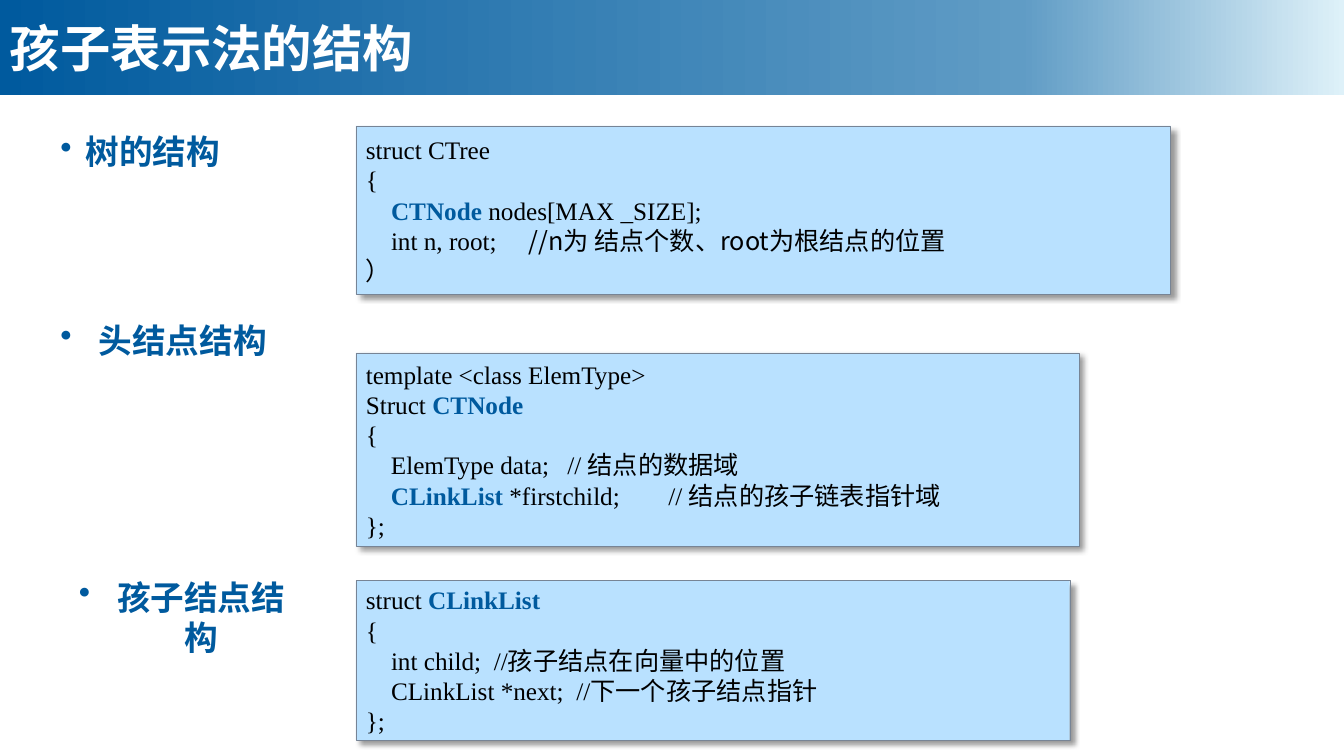
from dataclasses import dataclass

from lxml import etree
from pptx import Presentation, util as u
from pptx.dml.color import RGBColor
from pptx.enum import shapes, text
from pptx.oxml import ns


@dataclass(frozen=True)
class Theme:
    """Colours, fonts and type sizes of the slide."""
    blue: str = "005A9E"
    ink: str = "000000"
    white: str = "FFFFFF"
    panel: str = "B9E1FF"
    edge: str = "778495"
    banner: tuple = ((0, "005A9E"), (76, "609CC5"), (100, "DEF1F9"))
    sans: str = "Noto Sans CJK SC"
    serif: str = "Times New Roman"
    title: int = 36
    heading: int = 24
    code: int = 18


def child(parent, tag, **attrs):
    """Append a DrawingML element and return it."""
    return etree.SubElement(parent, ns.qn(f"a:{tag}"), {k: str(v) for k, v in attrs.items()})


def add_run(p, content, *, size, color, font, east, bold=False):
    """Add a formatted run to a paragraph."""
    r = p.add_run()
    r.text = content
    r.font.size = u.Pt(size)
    r.font.bold = bold
    r.font.color.rgb = RGBColor.from_string(color)
    r.font.name = font
    child(r.font._element, "ea", typeface=east)


class SlideBuilder:
    """Draws themed elements on one slide."""

    def __init__(self, slide, theme):
        """Keep the slide and its theme."""
        self.s, self.theme = slide, theme

    def rect(self, left, top, width, height):
        """Add a shadowless rectangle with left-aligned, centred-height text."""
        sp = self.s.shapes.add_shape(
            shapes.MSO_SHAPE.RECTANGLE, *map(u.Inches, (left, top, width, height)))
        sp.shadow.inherit = False
        tf = sp.text_frame
        tf.word_wrap = True
        tf.vertical_anchor = text.MSO_ANCHOR.MIDDLE
        tf.paragraphs[0].alignment = text.PP_ALIGN.LEFT
        return sp

    def banner(self, content, width, height):
        """Add the gradient title band."""
        t = self.theme
        sp = self.rect(0, 0, width, height)
        sp.line.fill.background()
        sp.fill.gradient()
        sp.fill.gradient_angle = 0
        stops = sp._element.spPr.find(".//" + ns.qn("a:gsLst"))
        for stop in list(stops):
            stops.remove(stop)
        for position, color in t.banner:
            child(child(stops, "gs", pos=position * 1000), "srgbClr", val=color)
        add_run(sp.text_frame.paragraphs[0], content, size=t.title, color=t.white,
                font=t.sans, east=t.sans, bold=True)

    def heading(self, content, left, top, indent, align=text.PP_ALIGN.LEFT):
        """Add a bulleted heading with a hanging indent."""
        t = self.theme
        sp = self.s.shapes.add_textbox(*map(u.Inches, (left, top, 2.57, 0.5)))
        tf = sp.text_frame
        tf.word_wrap = True
        p = tf.paragraphs[0]
        p.alignment = align
        pPr = p._p.get_or_add_pPr()
        pPr.set("marL", str(u.Inches(indent)))
        pPr.set("indent", str(-u.Inches(indent)))
        child(pPr, "buChar", char="•")
        add_run(p, content, size=t.heading, color=t.blue, font=t.sans, east=t.sans, bold=True)

    def code(self, lines, top, width, height):
        """Add a shadowed code panel; each line is a list of (text, kind) runs."""
        t = self.theme
        kinds = {
            "plain": dict(color=t.ink, font=t.serif),
            "type": dict(color=t.blue, font=t.serif, bold=True),
            "note": dict(color=t.ink, font=t.sans),
        }
        sp = self.rect(3.53, top, width, height)
        sp.fill.solid()
        sp.fill.fore_color.rgb = RGBColor.from_string(t.panel)
        sp.line.color.rgb = RGBColor.from_string(t.edge)
        sp.line.width = u.Pt(0.25)
        effects = sp._element.spPr.find(ns.qn("a:effectLst"))
        shadow = child(effects, "outerShdw", blurRad=u.Pt(4), dist=u.Pt(4),
                       dir=45 * 60000, algn="tl", rotWithShape=0)
        child(child(shadow, "srgbClr", val=t.ink), "alpha", val=40000)
        tf = sp.text_frame
        for i, line in enumerate(lines):
            p = tf.add_paragraph() if i else tf.paragraphs[0]
            p.alignment = text.PP_ALIGN.LEFT
            for content, kind in line:
                add_run(p, content, size=t.code, east=t.sans, **kinds[kind])


TREE = [
    [("struct CTree", "plain")],
    [("{", "plain")],
    [("    ", "plain"), ("CTNode ", "type"), ("nodes[MAX _SIZE];", "plain")],
    [("    int n, root; 　", "plain"), ("//n为 结点个数、root为根结点的位置", "note")],
    [("）", "plain")],
]
HEAD_NODE = [
    [("template <class ElemType>", "plain")],
    [("Struct ", "plain"), ("CTNode", "type")],
    [("{", "plain")],
    [("    ElemType data;  \t// 结点的数据域", "plain")],
    [("    ", "plain"), ("CLinkList ", "type"), ("*firstchild;\t// 结点的孩子链表指针域", "plain")],
    [("};", "plain")],
]
CHILD_NODE = [
    [("struct ", "plain"), ("CLinkList", "type")],
    [("{", "plain")],
    [("    int child;  //孩子结点在向量中的位置", "plain")],
    [("    CLinkList *next;  //下一个孩子结点指针", "plain")],
    [("};", "plain")],
]


def main():
    """Build and save the slide."""
    prs = Presentation()
    prs.slide_width, prs.slide_height = u.Inches(13.33), u.Inches(7.5)
    b = SlideBuilder(prs.slides.add_slide(prs.slide_layouts[6]), Theme())
    b.banner("孩子表示法的结构", 13.33, 0.94)
    b.heading("树的结构", 0.5, 1.25, 0.25)
    b.heading("头结点结构", 0.5, 3.12, 0.38)
    b.heading("孩子结点结构", 0.52, 5.67, 0.38, text.PP_ALIGN.CENTER)
    b.code(TREE, 1.25, 8.08, 1.67)
    b.code(HEAD_NODE, 3.5, 7.17, 1.92)
    b.code(CHILD_NODE, 5.76, 7.08, 1.58)
    prs.save("out.pptx")


if __name__ == "__main__":
    main()
